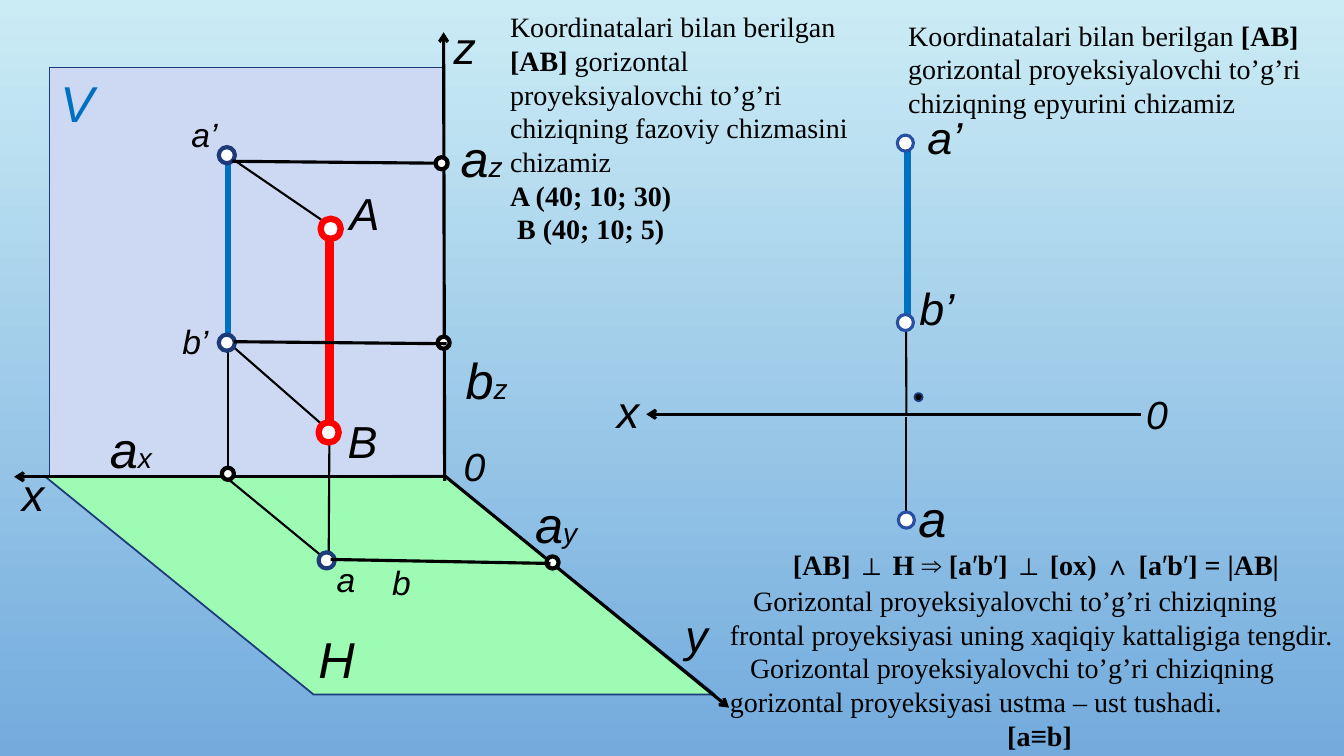
from dataclasses import dataclass
from itertools import groupby
from typing import Any
from lxml.etree import SubElement
from pptx import Presentation
from pptx.dml.color import RGBColor
from pptx.enum.shapes import MSO_CONNECTOR, MSO_SHAPE
from pptx.enum.text import PP_ALIGN
from pptx.oxml.ns import qn
from pptx.util import Inches, Pt

SKY = RGBColor(0xCB, 0xEC, 0xF5)
DUSK = RGBColor(0x73, 0xAB, 0xDD)
BLACK = RGBColor(0, 0, 0)
WHITE = RGBColor(0xFF, 0xFF, 0xFF)
RED = RGBColor(0xFF, 0, 0)
BLUE = RGBColor(0, 0x70, 0xC0)
NAVY = RGBColor(0x1D, 0x3A, 0x79)
ROYAL = RGBColor(0x27, 0x4F, 0xA4)
LILAC = RGBColor(0xCD, 0xD9, 0xF3)
GREEN = RGBColor(0x9D, 0xFB, 0xB3)
SIGNS = "⊥⇒∧′≡"


@dataclass
class Region:
    shapes: Any
    left: float
    top: float

    def spot(self, x, y):
        return Inches(self.left + x), Inches(self.top + y)

    def line(self, start, end, width=1.5, color=BLACK, arrow=False):
        link = self.shapes.add_connector(
            MSO_CONNECTOR.STRAIGHT, *self.spot(*start), *self.spot(*end))
        link.line.color.rgb = color
        link.line.width = Pt(width)
        props = link.line._get_or_add_ln()
        if arrow:
            SubElement(props, qn("a:headEnd"), type="arrow")
        SubElement(props.getparent(), qn("a:effectLst"))

    def paint(self, shape, fill, color, width):
        shape.shadow.inherit = False
        shape.fill.solid()
        shape.fill.fore_color.rgb = fill
        shape.line.color.rgb = color
        shape.line.width = Pt(width)

    def block(self, x, y, width, height, fill, color):
        shape = self.shapes.add_shape(
            MSO_SHAPE.RECTANGLE, *self.spot(x, y), Inches(width), Inches(height))
        self.paint(shape, fill, color, 1.25)

    def plane(self, points, fill, color):
        first, *rest = [self.spot(*point) for point in points]
        builder = self.shapes.build_freeform(*first)
        builder.add_line_segments(rest, close=True)
        self.paint(builder.convert_to_shape(), fill, color, 1.25)

    def ring(self, x, y, size, color, width, fill=WHITE):
        shape = self.shapes.add_shape(
            MSO_SHAPE.OVAL, *self.spot(x - size / 2, y - size / 2),
            Inches(size), Inches(size))
        self.paint(shape, fill, color, width)

    def frame(self, x, y, width, height):
        box = self.shapes.add_textbox(
            *self.spot(x, y), Inches(width), Inches(height))
        box.text_frame.word_wrap = True
        return box.text_frame

    def label(self, text, x, y, width, size, color=BLACK, index=""):
        para = self.frame(x, y, width, size / 60 + 0.1).paragraphs[0]
        for part, points in ((text, size), (index, 20)):
            if part:
                run = para.add_run()
                run.text = part
                style(run.font, "Arial", points, color)
                run.font.italic = True


def style(font, name, size, color=BLACK):
    font.name = name
    font.size = Pt(size)
    font.color.rgb = color


def write(frame, lines):
    for row, (parts, indent) in enumerate(lines):
        para = frame.add_paragraph() if row else frame.paragraphs[0]
        if indent:
            props = para._p.get_or_add_pPr()
            props.set("marL", "0")
            props.set("indent", str(Inches(indent)))
        for text, bold in parts:
            for sign, group in groupby(text, lambda char: char in SIGNS):
                run = para.add_run()
                run.text = "".join(group)
                style(run.font, "Arial" if sign else "Times New Roman", 20)
                run.font.bold = bold and not sign


def space(shapes, left, top):
    area = Region(shapes, left, top)
    area.block(0.39, 0.57, 3.92, 4.08, LILAC, NAVY)
    area.plane([(0.35, 4.63), (4.31, 4.62), (6.99, 6.79), (3.01, 6.79)], GREEN, NAVY)
    for start, end in [
        ((2.16, 4.63), (2.16, 1.48)), ((3.16, 5.45), (3.18, 2.07)),
        ((3.12, 5.44), (2.16, 4.65)), ((2.18, 1.46), (3.16, 2.13)),
        ((3.15, 4.16), (2.11, 3.25)),
    ]:
        area.line(start, end)
    area.line((3.17, 2.12), (3.17, 4.24), 6, RED)
    area.line((2.16, 3.25), (2.16, 1.44), 4.5, BLUE)
    for start, end in [
        ((0.04, 4.63), (4.33, 4.63)), ((4.3, 0.22), (4.31, 4.67)),
        ((7.13, 6.92), (4.31, 4.62)),
    ]:
        area.line(start, end, 2.25, arrow=True)
    for x, y in [(2.15, 1.44), (2.15, 3.3), (3.14, 5.46)]:
        area.ring(x, y, 0.16, NAVY, 3)
    for x, y in [(3.18, 2.17), (3.16, 4.19)]:
        area.ring(x, y, 0.2, RED, 4.5)
    area.line((2.2, 1.5), (4.31, 1.52), 2.25)
    for x, y in [(2.16, 4.6), (4.28, 1.52), (5.38, 5.48), (4.3, 3.3)]:
        area.ring(x, y, 0.12, BLACK, 3)
    area.line((3.18, 5.45), (5.36, 5.49), 2.25)
    area.line((2.22, 3.29), (4.33, 3.31), 2.25)
    for text, x, y, width, size in [
        ("A", 3.27, 1.69, 0.48, 32), ("B", 3.25, 3.96, 0.48, 32),
        ("0", 4.4, 4.24, 0.89, 28), ("x", 0.02, 4.48, 0.43, 32),
        ("y", 6.6, 5.88, 0.43, 32), ("z", 4.3, 0.05, 0.43, 32),
        ("H", 2.96, 6.08, 0.89, 36), ("a’", 1.7, 0.98, 0.59, 24),
        ("b’", 1.61, 3.03, 0.5, 24), ("a", 3.14, 5.4, 0.4, 24),
        ("b", 3.69, 5.43, 0.5, 24),
    ]:
        area.label(text, x, y, width, size)
    area.label("V", 0.4, 0.57, 0.89, 36, BLUE)
    for text, index, x, y in [
        ("a", "x", 0.89, 4), ("a", "z", 4.37, 1.11),
        ("a", "y", 5.11, 4.74), ("b", "z", 4.42, 3.31),
    ]:
        area.label(text, x, y, 0.65, 36, index=index)


def epure(shapes, left, top):
    area = Region(shapes, left, top)
    area.line((2.99, 3.11), (2.98, 0.34))
    area.line((3, 2.19), (3, 0.38), 4.5, BLUE)
    area.line((2.99, 4.16), (2.99, 3.14))
    area.line((0.41, 3.11), (5.32, 3.11), 2.25, arrow=True)
    area.ring(3.11, 2.94, 0.08, NAVY, 1.25, BLACK)
    for x, y in [(2.98, 0.42), (2.98, 2.2), (2.99, 4.16)]:
        area.ring(x, y, 0.16, ROYAL, 2.25)
    for text, x, y, width, size in [
        ("a’", 3.1, 0.04, 0.59, 32), ("b’", 3.02, 1.74, 1.34, 32),
        ("a", 3.01, 3.78, 0.65, 36), ("0", 5.27, 2.82, 0.89, 28),
        ("x", 0.02, 2.76, 0.43, 32),
    ]:
        area.label(text, x, y, width, size)


def tasks(shapes, left, top):
    area = Region(shapes, left, top)
    intro = ("Koordinatalari bilan berilgan ", False)
    name = ("[AB] ", True)
    write(area.frame(0, 0, 3.85, 2.46), [
        ([intro, name, ("gorizontal proyeksiyalovchi to’g’ri chiziqning "
                        "fazoviy chizmasini chizamiz", False)], 0),
        ([("A (40; 10; 30)", True)], 0),
        ([("B (40; 10; 5)", True)], 0.07),
    ])
    write(area.frame(3.95, 0.08, 4.4, 1.11), [
        ([intro, name, ("gorizontal proyeksiyalovchi to’g’ri chiziqning "
                        "epyurini chizamiz", False)], 0),
    ])


def rules(shapes, left, top):
    frame = Region(shapes, left, top).frame(0, 0, 6.19, 2.1)
    lead = "Gorizontal proyeksiyalovchi to’g’ri chiziqning "
    write(frame, [
        ([("[AB] ⊥ H ⇒ [a′b′] ⊥ [ox) ∧ [a′b′] = |AB|", True)], 0.08),
        ([(lead + "frontal proyeksiyasi uning xaqiqiy kattaligiga tengdir.", False)], 0.23),
        ([(lead + "gorizontal proyeksiyasi ustma – ust tushadi.", False)], 0.2),
        ([("[a≡b]", True)], 0.15),
    ])
    frame.paragraphs[0].alignment = PP_ALIGN.CENTER
    frame.paragraphs[1].space_before = Pt(2)
    frame.paragraphs[3].alignment = PP_ALIGN.CENTER


def main():
    deck = Presentation()
    deck.slide_width, deck.slide_height = Inches(13.33), Inches(7.5)
    slide = deck.slides.add_slide(deck.slide_layouts[6])
    fill = slide.background.fill
    fill.gradient()
    fill.gradient_angle = 270
    for stop, color in zip(fill.gradient_stops, (SKY, DUSK)):
        stop.color.rgb = color
    tasks(slide.shapes, 4.96, 0.05)
    rules(slide.shapes, 7.14, 5.38)
    space(slide.shapes, 0.1, 0.1)
    epure(slide.shapes, 6, 1)
    deck.save("out.pptx")


if __name__ == "__main__":
    main()
